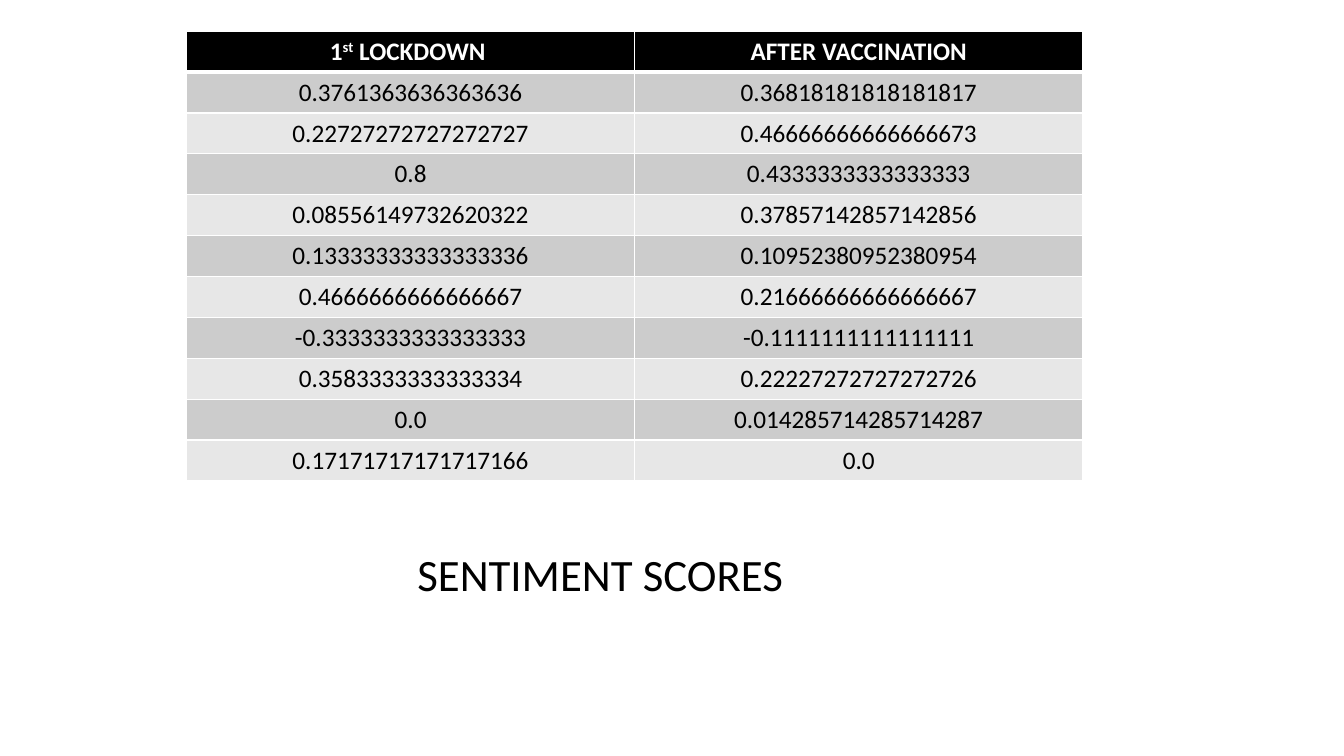
from dataclasses import dataclass

from lxml import etree
from pptx import Presentation
from pptx.dml.color import RGBColor
from pptx.enum.text import MSO_ANCHOR, MSO_AUTO_SIZE, PP_ALIGN
from pptx.oxml.ns import qn
from pptx.util import Inches, Pt

CENTER = PP_ALIGN.CENTER
BOTTOM = MSO_ANCHOR.BOTTOM
NO_AUTOFIT = MSO_AUTO_SIZE.NONE
TITLE_ONLY = 5


@dataclass(frozen=True)
class Theme:
    font: str = "Calibri"
    title_size: int = 32
    table_size: int = 18
    black: str = "000000"
    white: str = "FFFFFF"
    bands: tuple = ("CCCCCC", "E7E7E7")


theme = Theme()


def add_run(p, text, size=theme.table_size, color=theme.black, bold=False, raised=False):
    p.alignment = CENTER
    r = p.add_run()
    r.text = text
    r.font.name = theme.font
    r.font.size = Pt(size)
    r.font.bold = bold
    r.font.color.rgb = RGBColor.from_string(color)
    if raised:
        r.font._element.set("baseline", "30000")


def set_borders(cell, **widths):
    tcPr = cell._tc.get_or_add_tcPr()
    for side in ("L", "R", "T", "B"):
        ln = etree.SubElement(tcPr, qn(f"a:ln{side}"), w=str(Pt(widths.get(side, 1))))
        fill = etree.SubElement(ln, qn("a:solidFill"))
        etree.SubElement(fill, qn("a:srgbClr"), val=theme.white)


prs = Presentation()
prs.slide_width = Inches(13.33)
prs.slide_height = Inches(7.5)
s = prs.slides.add_slide(prs.slide_layouts[TITLE_ONLY])

# Title below the table
title = s.shapes.title
title.left, title.top = Inches(0.7), Inches(5.37)
title.width, title.height = Inches(10.51), Inches(0.64)
tf = title.text_frame
tf.word_wrap = True
tf.auto_size = NO_AUTOFIT
tf.vertical_anchor = BOTTOM
p = tf.paragraphs[0]
p.line_spacing = 0.9
add_run(p, "SENTIMENT SCORES", size=theme.title_size)

# Table contents; each header is a list of (text, raised) parts
headers = [
    [("1", False), ("st", True), (" LOCKDOWN ", False)],
    [("AFTER VACCINATION", False)],
]
scores = [
    ("0.3761363636363636", "0.36818181818181817"),
    ("0.22727272727272727", "0.46666666666666673"),
    ("0.8", "0.4333333333333333"),
    ("0.08556149732620322", "0.37857142857142856"),
    ("0.13333333333333336", "0.10952380952380954"),
    ("0.4666666666666667", "0.21666666666666667"),
    ("-0.3333333333333333", "-0.1111111111111111"),
    ("0.3583333333333334", "0.22227272727272726"),
    ("0.0", "0.014285714285714287"),
    ("0.17171717171717166", "0.0"),
]
table = s.shapes.add_table(
    len(scores) + 1, len(headers),
    Inches(1.85), Inches(0.31), Inches(8.89), Inches(4.46),
).table

# Header row
for col, parts in enumerate(headers):
    cell = table.cell(0, col)
    set_borders(cell, B=3)
    cell.fill.solid()
    cell.fill.fore_color.rgb = RGBColor.from_string(theme.black)
    for text, raised in parts:
        add_run(cell.text_frame.paragraphs[0], text, color=theme.white, bold=True, raised=raised)

# Score rows in alternating bands
for row, values in enumerate(scores, start=1):
    band = theme.bands[(row - 1) % 2]
    for col, text in enumerate(values):
        cell = table.cell(row, col)
        set_borders(cell, T=3 if row == 1 else 1)
        cell.fill.solid()
        cell.fill.fore_color.rgb = RGBColor.from_string(band)
        add_run(cell.text_frame.paragraphs[0], text)

prs.save("out.pptx")
